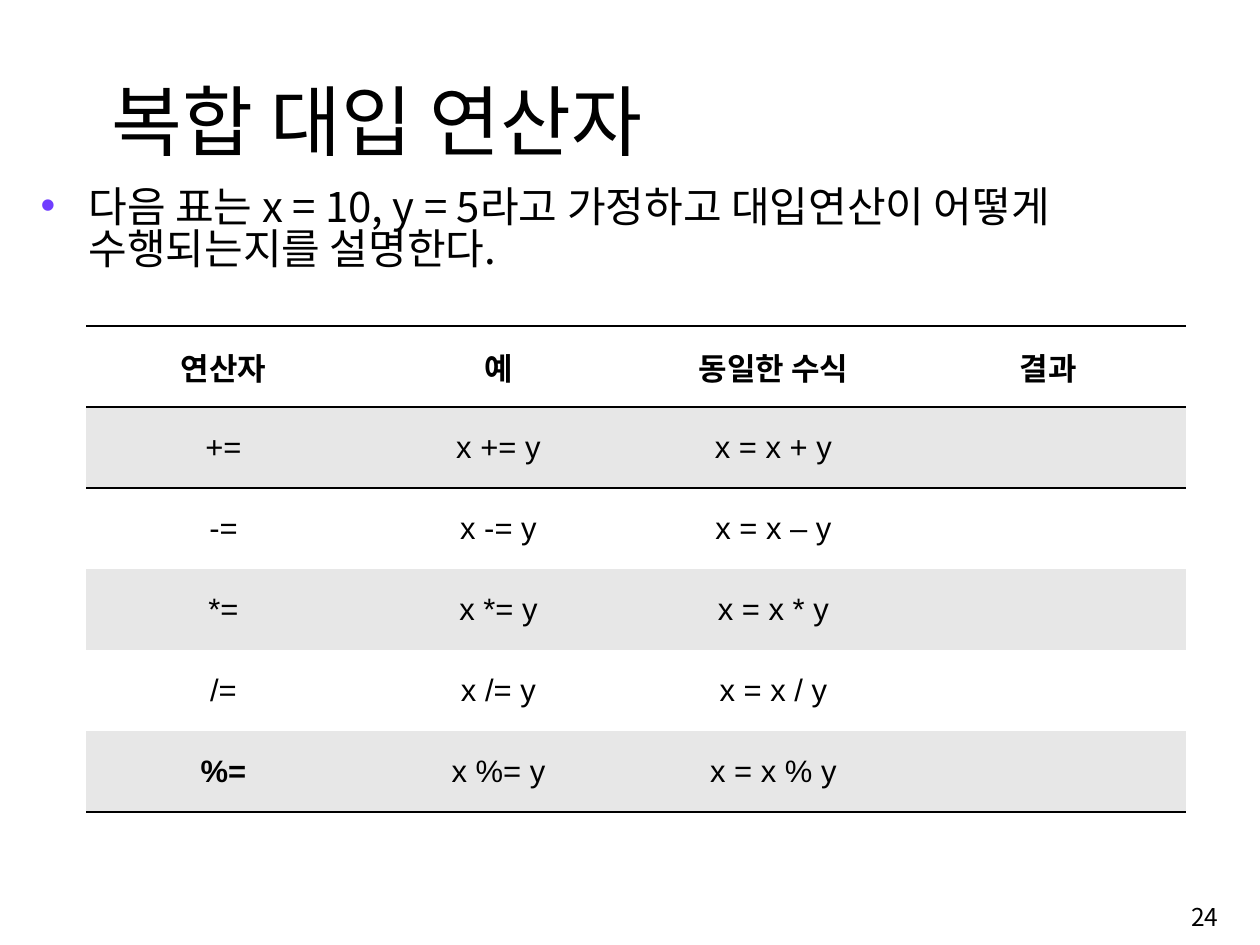
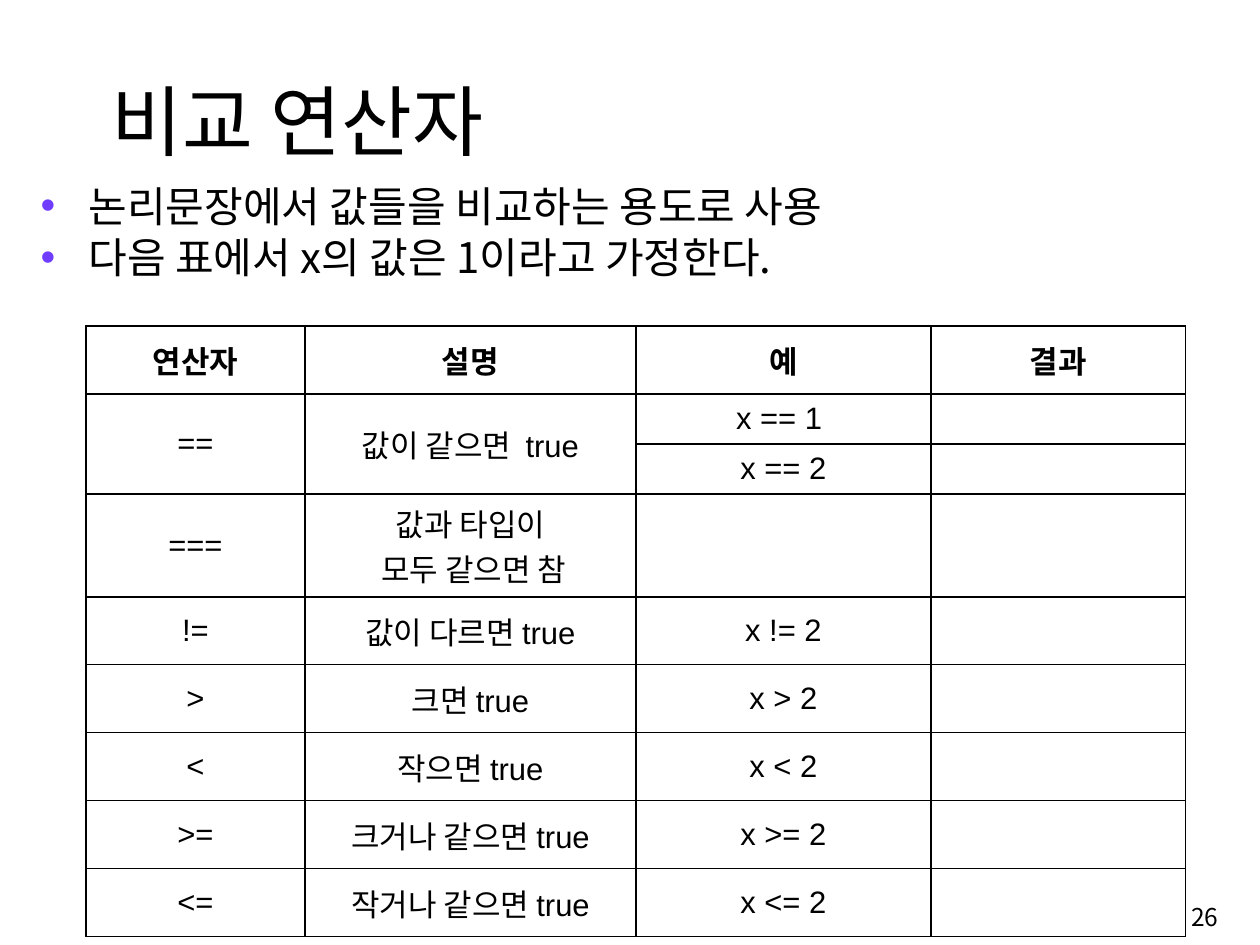
from lxml import etree
from pptx import Presentation, util as u
from pptx.dml.color import RGBColor
from pptx.enum import text
from pptx.oxml import ns

SCALE = 914400 / 97
COLORS = {"ink": "000000", "paper": "FFFFFF", "band": "E7E7E7", "bullet": "703DFF"}
HANGUL = "Noto Sans CJK KR"
CODE = "Arial"
NO_STYLE = "{2D5ABB26-0587-4C30-8999-92F81FD0307C}"


def px(length):
    return u.Emu(round(length * SCALE))


def add_xml(parent, tag, **attributes):
    return etree.SubElement(parent, ns.qn(tag), attributes)


class Lecture:
    def __init__(self):
        self.deck = Presentation()
        self.deck.slide_width, self.deck.slide_height = px(1260), px(945)
        self.slide = None

    def page(self, title, number, points):
        self.slide = self.deck.slides.add_slide(self.deck.slide_layouts[6])
        heading = self.box(102, 61, 1029, 105, text.MSO_ANCHOR.BOTTOM)
        heading.margin_bottom = 0
        heading.paragraphs[0].line_spacing = 0.85
        self.run(heading.paragraphs[0], title, 57.2)
        self.bullets(points)
        folio = self.box(968, 888, 260, 58, text.MSO_ANCHOR.MIDDLE)
        folio.paragraphs[0].alignment = text.PP_ALIGN.RIGHT
        self.run(folio.paragraphs[0], number, 18.2)

    def box(self, left, top, width, height, anchor):
        frame = self.slide.shapes.add_textbox(
            px(left), px(top), px(width), px(height)).text_frame
        frame.word_wrap = True
        frame.vertical_anchor = anchor
        return frame

    def run(self, paragraph, words, size, font=HANGUL, bold=False):
        run = paragraph.add_run()
        run.text = words
        run.font.size, run.font.name, run.font.bold = u.Pt(size), font, bold
        run.font.color.rgb = RGBColor.from_string(COLORS["ink"])
        add_xml(run.font._element, "a:ea", typeface=HANGUL)

    def bullets(self, points):
        body = self.box(31, 183, 1195, 685, text.MSO_ANCHOR.TOP)
        for index, point in enumerate(points):
            paragraph = body.add_paragraph() if index else body.paragraphs[0]
            paragraph.line_spacing = 0.85
            paragraph.space_before = u.Pt(6.2)
            props = paragraph._p.get_or_add_pPr()
            props.set("marL", str(px(48)))
            props.set("indent", str(px(-48)))
            tint = add_xml(props, "a:buClr")
            add_xml(tint, "a:srgbClr", val=COLORS["bullet"])
            add_xml(props, "a:buFont", typeface=CODE)
            add_xml(props, "a:buChar", char="•")
            self.run(paragraph, point, 31.2)

    def table(self, rows, widths, heights):
        grid = self.slide.shapes.add_table(
            len(rows), len(widths), px(86), px(326),
            px(sum(widths)), px(sum(heights))).table
        grid.first_row = grid.horz_banding = False
        grid._tbl.tblPr.find(ns.qn("a:tableStyleId")).text = NO_STYLE
        for column, width in zip(grid.columns, widths):
            column.width = px(width)
        for row, height in zip(grid.rows, heights):
            row.height = px(height)
        for r, row in enumerate(rows):
            for c, words in enumerate(row):
                self.cell(grid.cell(r, c), words, bold=r == 0 or words == "%=")
        return grid

    def cell(self, cell, words, bold):
        cell.margin_left = cell.margin_right = px(13)
        cell.margin_top = cell.margin_bottom = px(6)
        cell.vertical_anchor = text.MSO_ANCHOR.MIDDLE
        cell.fill.background()
        for index, line in enumerate(words.split("\n") if words else []):
            frame = cell.text_frame
            paragraph = frame.add_paragraph() if index else frame.paragraphs[0]
            paragraph.alignment = text.PP_ALIGN.CENTER
            self.run(paragraph, line, 23, CODE, bold)

    def shade(self, cell, color):
        cell.fill.solid()
        cell.fill.fore_color.rgb = RGBColor.from_string(COLORS[color])

    def borders(self, cell, sides, points):
        props = cell._tc.get_or_add_tcPr()
        for position, side in enumerate(sides):
            line = etree.Element(ns.qn("a:ln" + side), w=str(u.Pt(points)))
            fill = add_xml(line, "a:solidFill")
            add_xml(fill, "a:srgbClr", val=COLORS["ink"])
            props.insert(position, line)


def assignment_page(lecture):
    lecture.page("복합 대입 연산자", "24", [
        "다음 표는 x = 10, y = 5라고 가정하고 대입연산이 어떻게 수행되는지를 설명한다."])
    rows = [("연산자", "예", "동일한 수식", "결과")]
    for sign, shown in zip("+-*/%", "+–*/%"):
        rows.append((f"{sign}=", f"x {sign}= y", f"x = x {shown} y", ""))
    operators = lecture.table(rows, [275] * 4, [81] * 6)
    rules = {0: "TB", 1: "T", 5: "B"}
    for r in range(len(rows)):
        for c in range(4):
            cell = operators.cell(r, c)
            lecture.shade(cell, "band" if r % 2 else "paper")
            lecture.borders(cell, rules.get(r, ""), 2)


def comparison_page(lecture):
    lecture.page("비교 연산자", "26", [
        "논리문장에서 값들을 비교하는 용도로 사용",
        "다음 표에서 x의 값은 1이라고 가정한다."])
    rows = [
        ("연산자", "설명", "예", "결과"),
        ("==", "값이 같으면  true", "x == 1 ", ""),
        ("", "", "x == 2", ""),
        ("===", "값과 타입이\n 모두 같으면 참", "", ""),
    ]
    for sign, meaning in [("!=", "값이 다르면"), (">", "크면"), ("<", "작으면"),
                          (">=", "크거나 같으면"), ("<=", "작거나 같으면")]:
        rows.append((sign, f"{meaning} true", f"x {sign} 2", ""))
    comparisons = lecture.table(
        rows, [219, 331, 295, 255], [68, 50, 50, 103] + [68] * 5)
    for cell in comparisons.iter_cells():
        lecture.borders(cell, "LRTB", 1)
    for c in range(2):
        comparisons.cell(1, c).merge(comparisons.cell(2, c))


def main():
    lecture = Lecture()
    assignment_page(lecture)
    comparison_page(lecture)
    lecture.deck.save("out.pptx")


if __name__ == "__main__":
    main()
